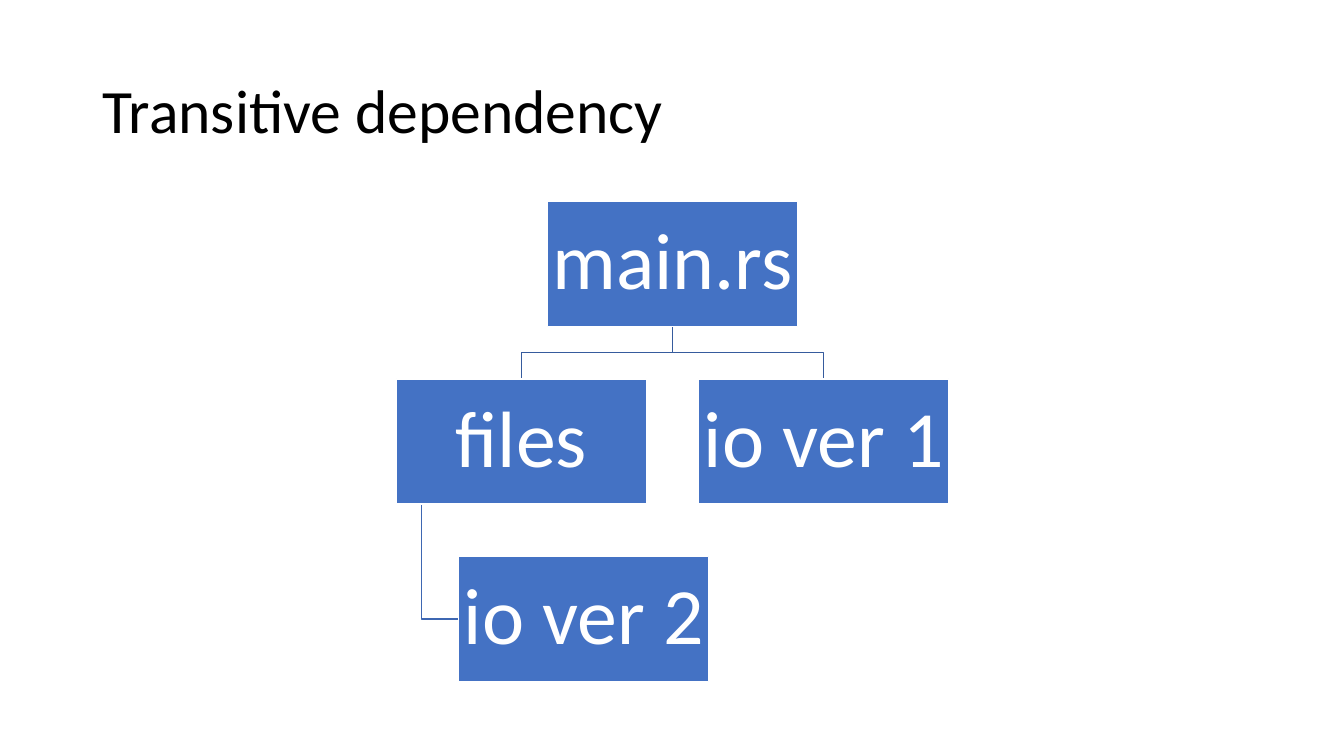
import pptx
import pptx.dml.color
import pptx.enum.shapes
import pptx.enum.text
import pptx.util

COLORS = {"text": "000000", "box": "4472C4", "white": "FFFFFF",
          "branch": "365B9D", "leaf": "3E67B2"}
LEFT, TOP = 3.93, 2
COL, ROW = 1.5, 1.76
BOX_W, BOX_H = 2.48 / COL, 1.24 / ROW
INDENT, TRUNK = BOX_W / 4, BOX_W / 10


class TreeSlide:
    """Draws a dependency tree on a grid of half-box columns and level rows."""

    def __init__(self, prs):
        self.font = "Calibri"
        self.s = prs.slides.add_slide(prs.slide_layouts[6])

    def color(self, name):
        return pptx.dml.color.RGBColor.from_string(COLORS[name])

    def at(self, col, row):
        return (pptx.util.Inches(LEFT + col * COL),
                pptx.util.Inches(TOP + row * ROW))

    def label(self, sp, text, size, color, align):
        tf = sp.text_frame
        tf.word_wrap = True
        tf.vertical_anchor = pptx.enum.text.MSO_ANCHOR.MIDDLE
        p = tf.paragraphs[0]
        p.alignment = align
        p.line_spacing = 0.9
        r = p.add_run()
        r.text = text
        r.font.name = self.font
        r.font.size = pptx.util.Pt(size)
        r.font.color.rgb = self.color(color)
        return tf

    def title(self, text):
        sp = self.s.shapes.add_textbox(*map(pptx.util.Inches, (0.92, 0.4, 11.5, 1.45)))
        self.label(sp, text, 44, "text", pptx.enum.text.PP_ALIGN.LEFT)

    def box(self, text, col, row):
        sp = self.s.shapes.add_shape(
            pptx.enum.shapes.MSO_SHAPE.RECTANGLE, *self.at(col, row),
            pptx.util.Inches(BOX_W * COL), pptx.util.Inches(BOX_H * ROW))
        sp.shadow.inherit = False
        sp.fill.solid()
        sp.fill.fore_color.rgb = self.color("box")
        sp.line.color.rgb = self.color("white")
        sp.line.width = pptx.util.Pt(1)
        tf = self.label(sp, text, 57, "white", pptx.enum.text.PP_ALIGN.CENTER)
        tf.margin_left = tf.margin_right = pptx.util.Inches(0.04)
        tf.margin_top = tf.margin_bottom = pptx.util.Inches(0.04)

    def elbow(self, color, *points):
        start, *rest = [self.at(*point) for point in points]
        builder = self.s.shapes.build_freeform(*start)
        builder.add_line_segments(rest, close=False)
        sp = builder.convert_to_shape()
        sp.shadow.inherit = False
        sp.fill.background()
        sp.line.color.rgb = self.color(color)
        sp.line.width = pptx.util.Pt(1)

    def branch(self, parent, child):
        x1, x2 = parent + BOX_W / 2, child + BOX_W / 2
        middle = (BOX_H + 1) / 2
        self.elbow("branch", (x1, BOX_H), (x1, middle), (x2, middle), (x2, 1))

    def leaf(self, parent, row):
        x, y = parent + TRUNK, row + BOX_H / 2
        self.elbow("leaf", (x, row - 1 + BOX_H), (x, y), (parent + INDENT, y))


def main():
    prs = pptx.Presentation()
    prs.slide_width = pptx.util.Inches(13.33)
    prs.slide_height = pptx.util.Inches(7.5)
    tree = TreeSlide(prs)
    tree.title("Transitive dependency")
    tree.branch(1, 2)
    tree.leaf(0, 2)
    tree.branch(1, 0)
    for text, col, row in (("main.rs", 1, 0), ("files", 0, 1),
                           ("io ver 2", INDENT, 2), ("io ver 1", 2, 1)):
        tree.box(text, col, row)
    prs.save("out.pptx")


if __name__ == "__main__":
    main()
